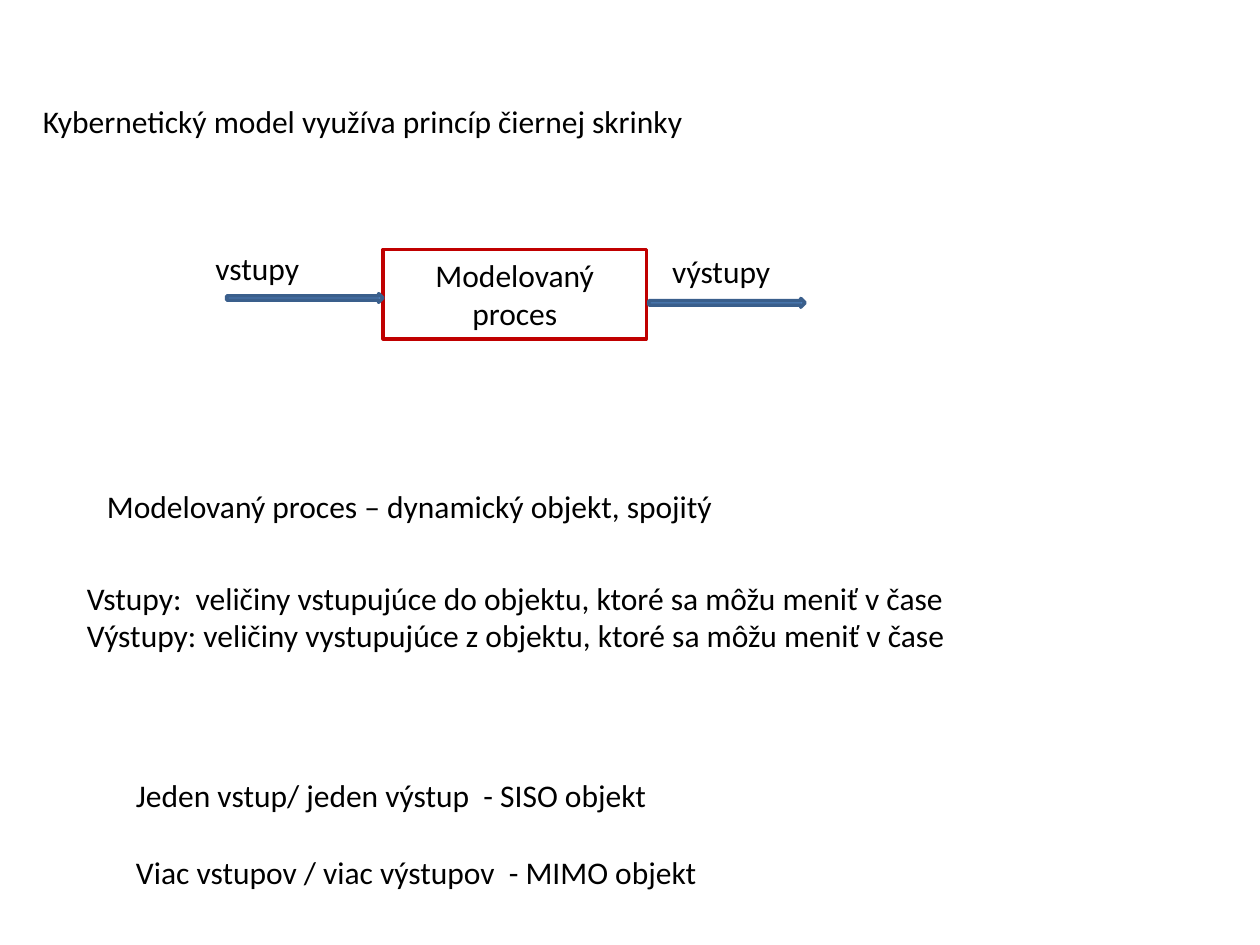
"""Build a slide on the black-box principle of a cybernetic model."""
from dataclasses import dataclass

from lxml import etree
from pptx import Presentation
from pptx.dml.color import RGBColor
from pptx.enum.shapes import MSO_SHAPE
from pptx.enum.text import MSO_ANCHOR, MSO_AUTO_SIZE, PP_ALIGN
from pptx.oxml.ns import qn
from pptx.util import Pt

RECT, ARROW = MSO_SHAPE.RECTANGLE, MSO_SHAPE.RIGHT_ARROW
TOP, MIDDLE = MSO_ANCHOR.TOP, MSO_ANCHOR.MIDDLE
LEFT, CENTER = PP_ALIGN.LEFT, PP_ALIGN.CENTER
FIXED = MSO_AUTO_SIZE.NONE
COLORS = {"text": "000000", "frame": "C00000", "arrow": "4F81BD", "edge": "3A5F8C"}
FONT = {"name": "Calibri", "size": Pt(18), "bold": False}
LINE = 2


@dataclass
class Area:
    """Position and size in points."""
    left: float
    top: float
    width: float
    height: float

    def place(self) -> tuple:
        """Return the four lengths."""
        return Pt(self.left), Pt(self.top), Pt(self.width), Pt(self.height)


@dataclass
class Block:
    """Lines of text in an area, with the gap between them."""
    area: Area
    lines: tuple
    gap: float = 0


TITLE = Block(Area(17.3, 54.7, 669, 29), ("Kybernetický model využíva princíp čiernej skrinky",))
LISTS = (
    Block(Area(42.5, 327, 669, 51), (
        "Vstupy:  veličiny vstupujúce do objektu, ktoré sa môžu meniť v čase",
        "Výstupy: veličiny vystupujúce z objektu, ktoré sa môžu meniť v čase")),
    Block(Area(70.5, 440, 527, 73), (
        "Jeden vstup/ jeden výstup  - SISO objekt",
        "Viac vstupov / viac výstupov  - MIMO objekt"), 22),
)
NOTE = Block(Area(54, 274.5, 595, 29), ("Modelovaný proces – dynamický objekt, spojitý",))
MODEL = Block(Area(218.9, 142.6, 150.5, 51), ("Modelovaný proces",))
LABELS = (
    Block(Area(116, 139, 96, 29), ("vstupy",)),
    Block(Area(377, 140.4, 96, 29), ("výstupy",)),
)
ARROWS = (Area(129.6, 167.8, 89.3, 5), Area(370.8, 170.6, 89.3, 5))


def tint(name: str) -> RGBColor:
    """Return a named colour."""
    return RGBColor.from_string(COLORS[name])


def write(shape, block: Block, align=LEFT, anchor=TOP) -> None:
    """Place a shape and fill it with plain lines."""
    shape.left, shape.top, shape.width, shape.height = block.area.place()
    frame = shape.text_frame
    form = {"word_wrap": True, "auto_size": FIXED, "vertical_anchor": anchor}
    for key, value in form.items():
        setattr(frame, key, value)
    frame.text = "\n".join(block.lines)
    for index, para in enumerate(frame.paragraphs):
        props = para._p.get_or_add_pPr()
        props.set("marL", "0")
        props.set("indent", "0")
        etree.SubElement(props, qn("a:buNone"))
        para.alignment = align
        para.space_before = Pt(block.gap if index else 0)
        for run in para.runs:
            for key, value in FONT.items():
                setattr(run.font, key, value)
            run.font.color.rgb = tint("text")


def label(shapes, block: Block) -> None:
    """Add a text box."""
    write(shapes.add_textbox(*block.area.place()), block)


def draw(shapes, kind, area: Area, edge: str, fill: str = ""):
    """Add an outlined shape, hollow unless a fill is named."""
    shape = shapes.add_shape(kind, *area.place())
    shape.shadow.inherit = False
    if fill:
        shape.fill.solid()
        shape.fill.fore_color.rgb = tint(fill)
    else:
        shape.fill.background()
    shape.line.color.rgb = tint(edge)
    shape.line.width = Pt(LINE)
    return shape


def main() -> None:
    """Build and save the slide."""
    deck = Presentation()
    deck.slide_width, deck.slide_height = Pt(720), Pt(540)
    slide = deck.slides.add_slide(deck.slide_layouts.get_by_name("Two Content"))
    title, *bodies = slide.placeholders
    write(title, TITLE)
    for body, block in zip(bodies, LISTS):
        write(body, block)
    label(slide.shapes, NOTE)
    group = slide.shapes.add_group_shape().shapes
    write(draw(group, RECT, MODEL.area, "frame"), MODEL, CENTER, MIDDLE)
    for area in ARROWS:
        draw(group, ARROW, area, "edge", "arrow")
    for block in LABELS:
        label(group, block)
    deck.save("out.pptx")


if __name__ == "__main__":
    main()
